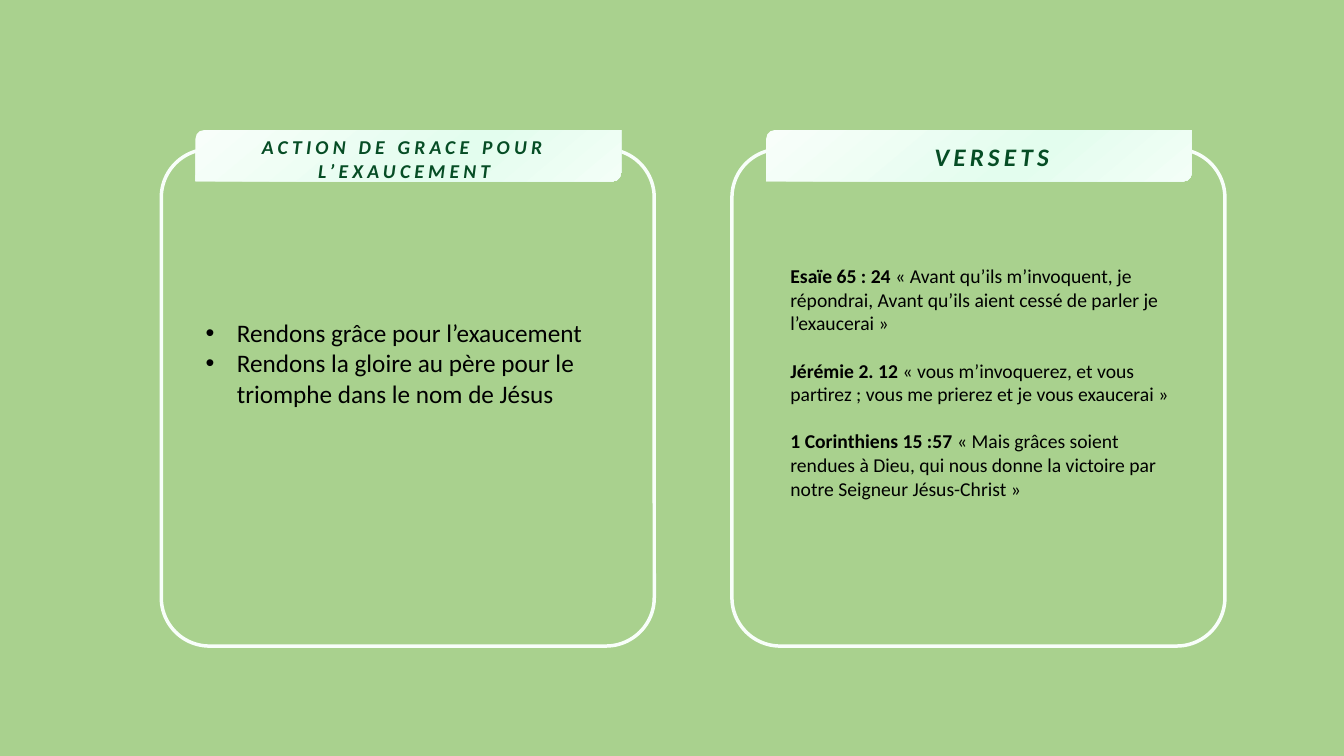
from copy import deepcopy

from lxml.etree import SubElement
from pptx import Presentation
from pptx.dml.color import RGBColor
from pptx.enum.shapes import MSO_SHAPE
from pptx.enum.text import MSO_ANCHOR, MSO_AUTO_SIZE, PP_ALIGN
from pptx.oxml.ns import qn
from pptx.util import Emu, Inches, Pt

WIDTH, HEIGHT = Inches(13.33), Inches(7.5)
COLORS = {
    "background": "A9D18E",
    "outline": "F8FEFA",
    "mint": "E3FDEE",
    "pale": "F3FEF7",
    "heading": "064D25",
    "body": "000000",
}
FONT = "Calibri"
CARD_LEFT, CARD_STEP = 12, 42.46
TAB_INDENT = 2.55
THANKS = [
    [("Rendons grâce pour l’exaucement", False)],
    [("Rendons la gloire au père pour le triomphe dans le nom de Jésus", False)],
]
VERSES = [
    [("Esaïe 65 : 24 ", True),
     ("« Avant qu’ils m’invoquent, je répondrai, Avant qu’ils aient cessé de parler je l’exaucerai »", False)],
    [("Jérémie 2. 12 ", True),
     ("« vous m’invoquerez, et vous partirez ; vous me prierez et je vous exaucerai »", False)],
    [("1 Corinthiens 15 :57 ", True),
     ("« Mais grâces soient rendues à Dieu, qui nous donne la victoire par notre Seigneur Jésus-Christ »", False)],
]


def rgb(name):
    return RGBColor.from_string(COLORS[name])


def area(left, top, width, height):
    """Turn percentages of the slide into lengths."""
    return (Emu(int(WIDTH * left / 100)), Emu(int(HEIGHT * top / 100)),
            Emu(int(WIDTH * width / 100)), Emu(int(HEIGHT * height / 100)))


def add_panel(slide, kind, box, corner):
    panel = slide.shapes.add_shape(kind, *area(*box))
    panel.shadow.inherit = False
    panel.adjustments[0] = corner
    return panel


def add_card(slide, left):
    card = add_panel(slide, MSO_SHAPE.ROUNDED_RECTANGLE, (left, 19.73, 36.68, 65.73), 0.098)
    card.fill.background()
    card.line.color.rgb = rgb("outline")
    card.line.width = Pt(2.5)


def add_tab(slide, left):
    tab = add_panel(slide, MSO_SHAPE.ROUND_2_DIAG_RECTANGLE, (left, 17.2, 31.66, 6.8), 0.167)
    tab.line.fill.background()
    tab.fill.gradient()
    tab.fill.gradient_angle = 310
    stop_list = tab.element.spPr.find(".//" + qn("a:gsLst"))
    stop_list.insert(1, deepcopy(stop_list[0]))
    shades = [("outline", 0), ("mint", 0.61), ("pale", 1)]
    for stop, (shade, position) in zip(tab.fill.gradient_stops, shades):
        stop.color.rgb = rgb(shade)
        stop.position = position


def set_bullet(paragraph, bullet):
    properties = paragraph._p.get_or_add_pPr()
    indent = Inches(0.31) if bullet else 0
    properties.set("marL", str(indent))
    properties.set("indent", str(-indent))
    if bullet:
        SubElement(properties, qn("a:buFont")).set("typeface", "Arial")
        SubElement(properties, qn("a:buChar")).set("char", bullet)
    else:
        SubElement(properties, qn("a:buNone"))


def write(holder, paragraphs, box, size, color="body", italic=False,
          align=PP_ALIGN.LEFT, bullet=None, gap=0, tracking=0):
    holder.left, holder.top, holder.width, holder.height = area(*box)
    holder.element.getparent().append(holder.element)
    frame = holder.text_frame
    frame.word_wrap = True
    frame.auto_size = MSO_AUTO_SIZE.NONE
    frame.vertical_anchor = MSO_ANCHOR.TOP
    for number, runs in enumerate(paragraphs):
        paragraph = frame.add_paragraph() if number else frame.paragraphs[0]
        paragraph.alignment = align
        paragraph.space_before = Pt(gap if number else 0)
        set_bullet(paragraph, bullet)
        for words, bold in runs:
            run = paragraph.add_run()
            run.text = words
            run.font.name = FONT
            run.font.size = Pt(size)
            run.font.bold = bold
            run.font.italic = italic
            run.font.color.rgb = rgb(color)
            if tracking:
                run._r.get_or_add_rPr().set("spc", str(tracking * 100))


def write_heading(holder, words, box, size):
    write(holder, [[(words, True)]], box, size, color="heading", italic=True,
          align=PP_ALIGN.CENTER, tracking=3)


def main():
    deck = Presentation()
    deck.slide_width, deck.slide_height = WIDTH, HEIGHT
    slide = deck.slides.add_slide(deck.slide_layouts.get_by_name("Comparison"))
    slide.background.fill.solid()
    slide.background.fill.fore_color.rgb = rgb("background")
    title, thanks_heading, thanks, verses_heading, verses = slide.placeholders
    title.element.getparent().remove(title.element)

    for column in range(2):
        left = CARD_LEFT + column * CARD_STEP
        add_card(slide, left)
        add_tab(slide, left + TAB_INDENT)

    write_heading(thanks_heading, "ACTION DE GRACE POUR L’EXAUCEMENT", (15.98, 17.2, 28.2, 7.6), 14)
    write(thanks, THANKS, (14.55, 41.33, 32.63, 13.47), 18, bullet="•")
    write_heading(verses_heading, "VERSETS", (64.14, 18, 19.28, 5.33), 18)
    write(verses, VERSES, (58.06, 34.27, 30.6, 32.8), 14, gap=17)
    deck.save("out.pptx")


if __name__ == "__main__":
    main()
